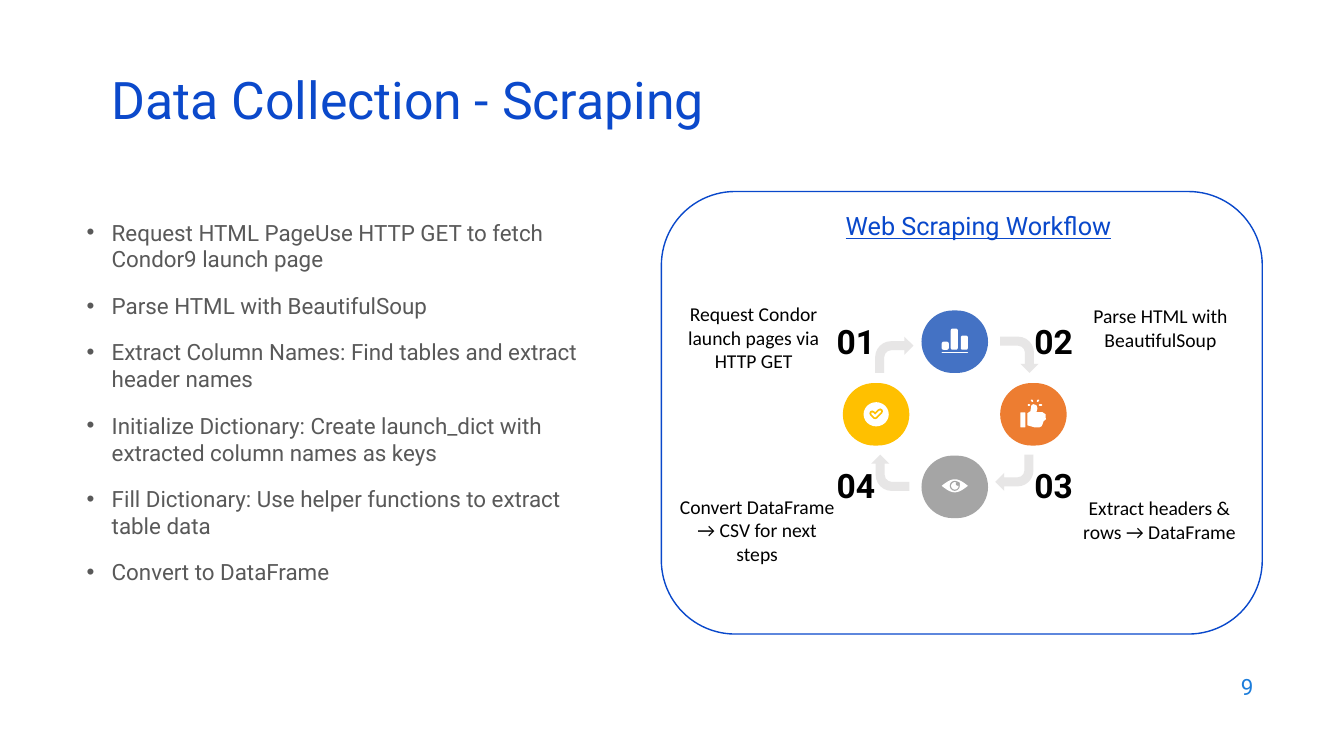
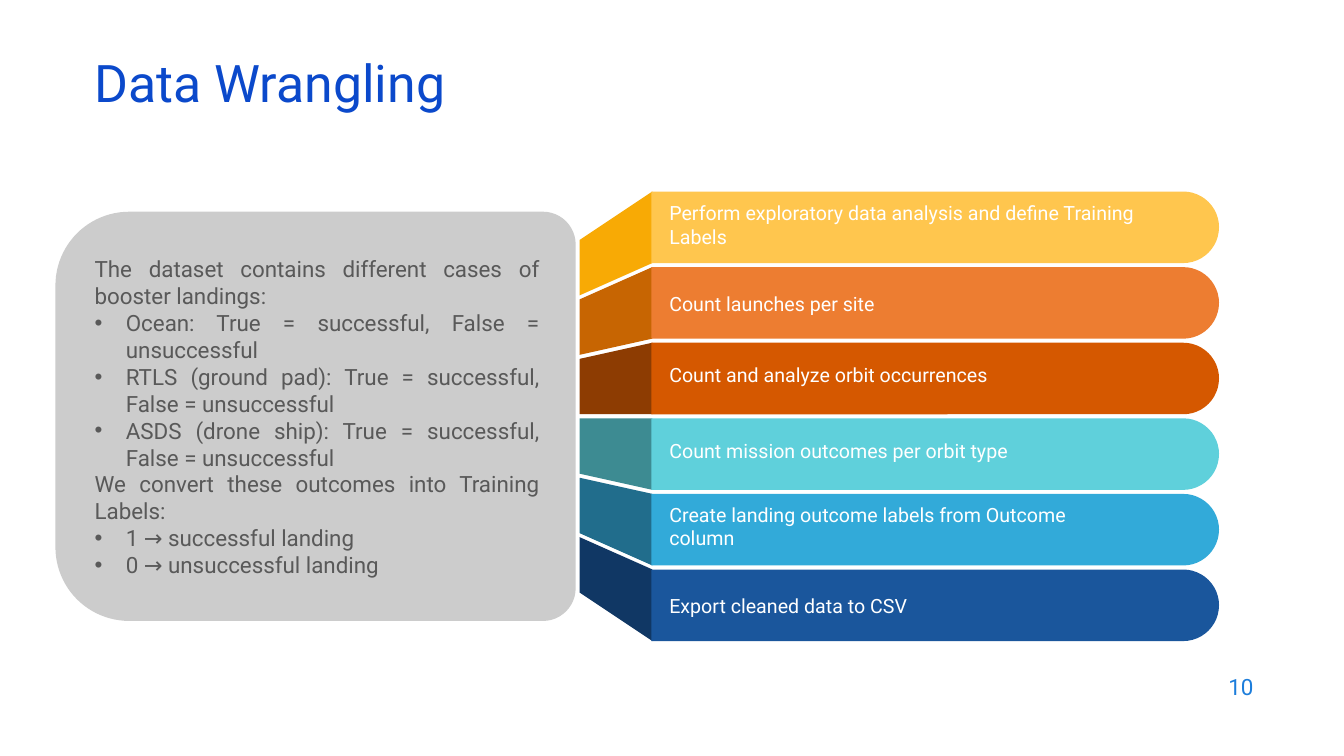
from math import pi, sin

from lxml.etree import SubElement
from pptx import Presentation
from pptx.dml.color import RGBColor
from pptx.enum.shapes import MSO_CONNECTOR as LINE, MSO_SHAPE as SHAPE
from pptx.enum.text import MSO_ANCHOR as ANCHOR, PP_ALIGN as ALIGN
from pptx.oxml.ns import qn
from pptx.util import Emu, Inches, Pt

COLUMNS, ROWS = 133.3, 75
CELL = Inches(0.1)

WHITE = RGBColor(0xFF, 0xFF, 0xFF)
BLACK = RGBColor(0x00, 0x00, 0x00)
TITLE_BLUE = RGBColor(0x0B, 0x49, 0xCB)
PANEL_BLUE = RGBColor(0x09, 0x48, 0xCB)
NUMBER_BLUE = RGBColor(0x1C, 0x7D, 0xDB)
TEXT_GRAY = RGBColor(0x59, 0x59, 0x59)
PANEL_GRAY = RGBColor(0xCC, 0xCC, 0xCC)
ARROW_GRAY = RGBColor(0xE7, 0xE6, 0xE6)
NODE_BLUE = RGBColor(0x44, 0x72, 0xC4)
NODE_GRAY = RGBColor(0xA5, 0xA5, 0xA5)
NODE_GOLD = RGBColor(0xFF, 0xC0, 0x00)
ORANGE = RGBColor(0xED, 0x7D, 0x31)
YELLOW = RGBColor(0xFF, 0xC6, 0x4E)
AMBER = RGBColor(0xF8, 0xAA, 0x05)
BROWN = RGBColor(0xC7, 0x65, 0x02)
RUST = RGBColor(0xD5, 0x58, 0x00)
DARK_RUST = RGBColor(0x8D, 0x3C, 0x02)
TURQUOISE = RGBColor(0x5F, 0xD0, 0xDB)
TEAL = RGBColor(0x3D, 0x8B, 0x92)
SKY = RGBColor(0x32, 0xAA, 0xD9)
DEEP_SKY = RGBColor(0x21, 0x6D, 0x8C)
ROYAL = RGBColor(0x1A, 0x56, 0x9C)
NAVY = RGBColor(0x10, 0x37, 0x64)


def grid(*cells):
    return [Emu(round(n * CELL)) for n in cells]


class Deck:
    font = "Roboto"

    def __init__(self):
        self.prs = Presentation()
        self.prs.slide_width, self.prs.slide_height = grid(COLUMNS, ROWS)
        self.s = None

    def page(self, title, left, top, number):
        self.s = self.prs.slides.add_slide(self.prs.slide_layouts[6])
        self.text(title, left, top, 115, 6, 37, TITLE_BLUE, anchor=ANCHOR.MIDDLE, spacing=0.7)
        self.text(number, 95.3, 65.9, 30, 4.4, 16, NUMBER_BLUE, ALIGN.RIGHT, ANCHOR.MIDDLE)

    def text(self, content, x, y, w, h, size, color, align=ALIGN.LEFT, anchor=ANCHOR.TOP,
             font=None, inset=(1, 0.5), spacing=None, before=0, indent=0,
             bold=False, underline=False):
        tf = self.s.shapes.add_textbox(*grid(x, y, w, h)).text_frame
        tf.word_wrap = True
        tf.vertical_anchor = anchor
        tf.margin_left, tf.margin_top = grid(*inset)
        tf.margin_right, tf.margin_bottom = grid(*inset)
        for i, line in enumerate(content.split("\n")):
            p = tf.add_paragraph() if i else tf.paragraphs[0]
            bulleted = line.startswith("•")
            p.text = line.lstrip("•")
            p.alignment = align
            if spacing:
                p.line_spacing = spacing
            if i and before:
                p.space_before = Pt(before)
            if bulleted:
                self.bullet(p, indent)
            for r in p.runs:
                r.font.name = font or self.font
                r.font.size = Pt(size)
                r.font.color.rgb = color
                r.font.bold = bold
                r.font.underline = underline

    def bullet(self, p, indent):
        margin, = grid(indent)
        pPr = p._p.get_or_add_pPr()
        pPr.set("marL", str(margin))
        pPr.set("indent", str(-margin))
        SubElement(pPr, qn("a:buFont")).set("typeface", "Arial")
        SubElement(pPr, qn("a:buChar")).set("char", "•")

    def paint(self, sp, fill, line=None):
        sp.shadow.inherit = False
        sp.fill.solid()
        sp.fill.fore_color.rgb = fill
        if line is None:
            sp.line.fill.background()
        else:
            sp.line.color.rgb = line
            sp.line.width = Pt(1)

    def shape(self, kind, cx, cy, w, h, fill, line=None, turn=0, adjust=()):
        sp = self.s.shapes.add_shape(kind, *grid(cx - w / 2, cy - h / 2, w, h))
        sp.rotation = turn
        for i, value in enumerate(adjust):
            sp.adjustments[i] = value
        self.paint(sp, fill, line)

    def polygon(self, points, fill):
        start, *rest = [grid(*point) for point in points]
        builder = self.s.shapes.build_freeform(*start, scale=1.0)
        builder.add_line_segments(rest, close=True)
        self.paint(builder.convert_to_shape(), fill)

    def stroke(self, ends, color, width):
        sp = self.s.shapes.add_connector(LINE.STRAIGHT, *grid(*ends))
        sp.line.color.rgb = color
        sp.line.width = Pt(width)
        sp.line._get_or_add_ln().set("cap", "rnd")
        SubElement(sp._element.spPr, qn("a:effectLst"))


def chart_icon(deck):
    for cx, height in ((93.75, 0.8), (94.65, 2.1), (95.65, 1.4)):
        deck.shape(SHAPE.ROUNDED_RECTANGLE, cx, 34.7 - height / 2, 0.7, height, WHITE,
                   adjust=[0.25])
    deck.stroke((93.45, 34.95, 95.95, 34.95), WHITE, 1)


def thumb_icon(deck):
    for ray in ((102, 40.2, 102.1, 40.2), (102.3, 39.7, 102.4, 39.8),
                (103, 39.7, 102.9, 39.8), (103.1, 40.2, 103.3, 40.2)):
        deck.stroke(ray, WHITE, 1.25)
    deck.shape(SHAPE.ROUNDED_RECTANGLE, 101.45, 41.65, 0.5, 1.5, WHITE, adjust=[0.15])
    deck.polygon([(102.3, 40.2), (102.5, 40.1), (102.8, 40.2), (102.9, 40.5), (102.8, 40.9),
                  (103.4, 40.9), (103.7, 41.1), (103.7, 41.4), (103.75, 41.6),
                  (103.5, 41.8), (103.4, 42.1), (103.3, 42.3), (103.1, 42.4),
                  (102.6, 42.4), (101.9, 42.2), (101.9, 41), (102.2, 40.8)], WHITE)


def eye_icon(deck):
    steps = 12
    upper = [(93.4 + 2.6 * i / steps, 48.2 - 0.65 * sin(pi * i / steps))
             for i in range(steps + 1)]
    lower = [(x, 96.4 - y) for x, y in reversed(upper[1:-1])]
    deck.polygon(upper + lower, WHITE)
    for cx, cy, size, color in ((94.7, 48.2, 1, NODE_GRAY), (94.7, 48.2, 0.75, WHITE),
                                (95, 48, 0.4, NODE_GRAY)):
        deck.shape(SHAPE.OVAL, cx, cy, size, size, color)


def check_icon(deck):
    deck.shape(SHAPE.OVAL, 86.9, 41.1, 2.5, 2.4, WHITE)
    for color, width in ((NODE_GOLD, 4), (WHITE, 1.5)):
        deck.stroke((86.5, 41, 86.8, 41.3), color, width)
        deck.stroke((86.8, 41.3, 87.3, 40.8), color, width)


def scraping_slide(deck):
    deck.page("Data Collection - Scraping", 10.1, 7.6, "9")
    deck.text("•Request HTML PageUse HTTP GET to fetch Condor9 launch page\n"
              "•Parse HTML with BeautifulSoup\n"
              "•Extract Column Names: Find tables and extract header names\n"
              "•Initialize Dictionary: Create launch_dict with extracted column names as keys\n"
              "•Fill Dictionary: Use helper functions to extract table data\n"
              "•Convert to DataFrame",
              7.6, 21.2, 52.1, 41.7, 16, TEXT_GRAY, before=14, indent=2.5)
    deck.shape(SHAPE.ROUNDED_RECTANGLE, 95.4, 40.95, 59.6, 43.9, WHITE, PANEL_BLUE)
    deck.text("Web Scraping Workflow", 82.9, 20.4, 29.7, 4, 18, PANEL_BLUE, underline=True)

    for dx, dy, color, icon in ((0, -1, NODE_BLUE, chart_icon), (1, 0, ORANGE, thumb_icon),
                                (0, 1, NODE_GRAY, eye_icon), (-1, 0, NODE_GOLD, check_icon)):
        deck.shape(SHAPE.ROUNDED_RECTANGLE, 94.7 + 7.8 * dx, 41.1 + 7.2 * dy, 6.6, 6.2, color,
                   adjust=[0.5])
        icon(deck)

    steps = (
        ("Request Condor launch pages via HTTP GET", 66.2, 29.5, 17.1, 82.9, 32.6, 88.7, 35.2),
        ("Parse HTML with BeautifulSoup", 106, 29.7, 18.2, 102.5, 32.6, 101.1, 35.2),
        ("Extract headers & rows → DataFrame", 105.9, 48.7, 18.2, 102.5, 46.9, 100.6, 46.9),
        ("Convert DataFrame → CSV for next steps", 66, 48.6, 18.2, 82.9, 46.9, 88.3, 46.9),
    )
    for i, (label, x, y, w, number_x, number_y, arrow_x, arrow_y) in enumerate(steps):
        size = (3.6, 3.8) if i % 2 else (3.8, 3.6)
        deck.shape(SHAPE.BENT_ARROW, arrow_x, arrow_y, *size, ARROW_GRAY, turn=90 * i,
                   adjust=[0.25, 0.25, 0.25, 0.44])
        deck.text(f"{i + 1:02}", number_x, number_y, 4, 2.4, 24, BLACK, ALIGN.CENTER,
                  ANCHOR.MIDDLE, inset=(0, 0), bold=True)
        deck.text(label, x, y, w, 8.1, 14, BLACK, ALIGN.CENTER, font="Calibri")


def wrangling_slide(deck):
    deck.page("Data Wrangling", 8.4, 5.9, "10")
    deck.shape(SHAPE.ROUND_2_SAME_RECTANGLE, 31.3, 41.3, 40.6, 51.6, PANEL_GRAY, turn=270,
               adjust=[0.18, 0.08])
    deck.text("The dataset contains different cases of booster landings:\n"
              "•Ocean: True = successful, False = unsuccessful\n"
              "•RTLS (ground pad): True = successful, False = unsuccessful\n"
              "•ASDS (drone ship): True = successful, False = unsuccessful\n"
              "We convert these outcomes into Training Labels:\n"
              "•1 → successful landing\n"
              "•0 → unsuccessful landing",
              8.4, 24.2, 46.1, 34.3, 16, TEXT_GRAY, ALIGN.JUSTIFY, ANCHOR.MIDDLE,
              inset=(1, 1), indent=3.1)

    steps = (
        ("Perform exploratory data analysis and define Training Labels",
         YELLOW, AMBER, 52.4, 22.3),
        ("Count launches per site", ORANGE, BROWN, 39.4, 30.1),
        ("Count and analyze orbit occurrences", RUST, DARK_RUST, 44.7, 37.2),
        ("Count mission outcomes per orbit type", TURQUOISE, TEAL, 42.1, 44.7),
        ("Create landing outcome labels from Outcome column", SKY, DEEP_SKY, 46.3, 52.2),
        ("Export cleaned data to CSV", ROYAL, NAVY, 29.1, 60.1),
    )
    bar_height, flap_height = 7.1, 5.5
    for i, (label, color, shade, width, middle) in enumerate(steps):
        top, flap_top = 19 + 7.5 * i, 23.8 + 5.9 * i
        deck.polygon([(57.5, flap_top), (57.5, flap_top + flap_height),
                      (64.7, top + bar_height), (64.7, top)], shade)
        deck.shape(SHAPE.ROUND_2_SAME_RECTANGLE, 92.75, top + bar_height / 2, bar_height, 56.3,
                   color, turn=90, adjust=[0.5, 0])
        deck.text(label, 65.4, middle - 3.5, width, 7, 14, WHITE, anchor=ANCHOR.MIDDLE,
                  inset=(1, 1))


def main():
    deck = Deck()
    scraping_slide(deck)
    wrangling_slide(deck)
    deck.prs.save("out.pptx")


if __name__ == "__main__":
    main()
